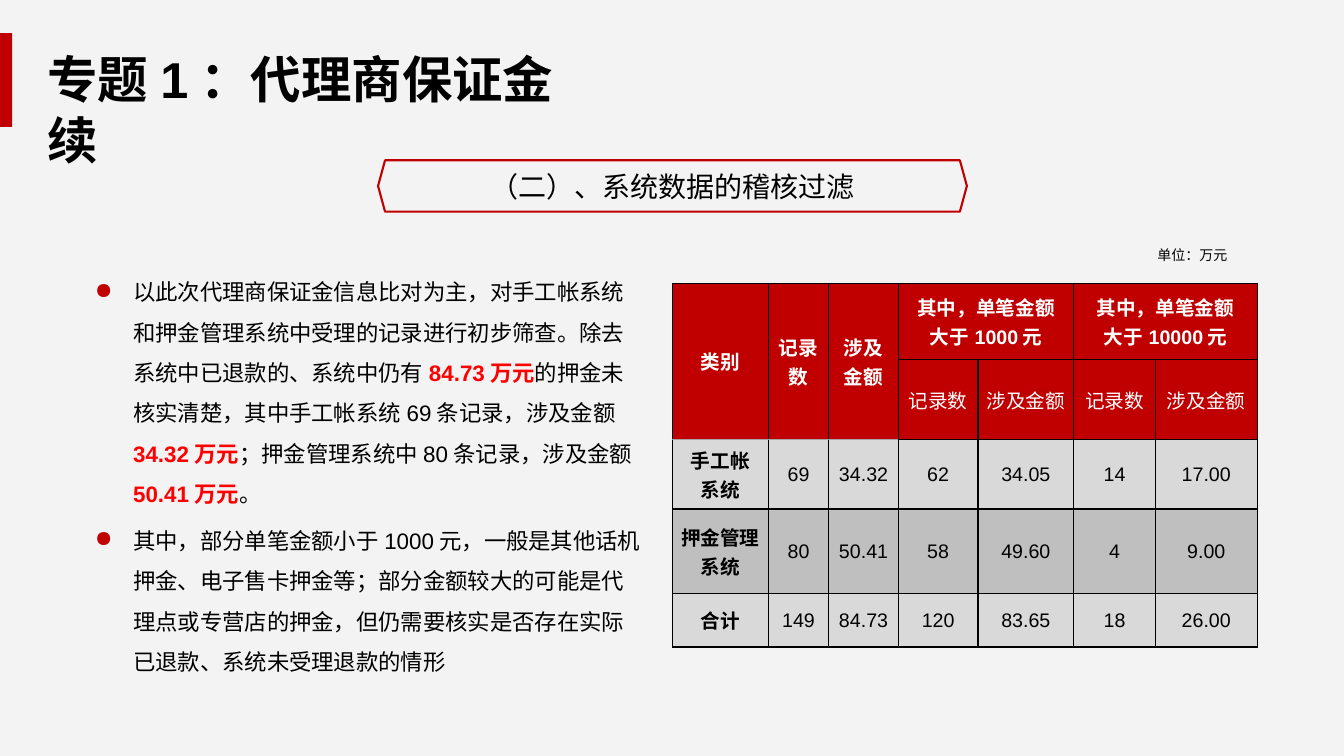
import pptx
import pptx.dml.color
import pptx.enum.shapes
import pptx.enum.text
import pptx.oxml
import pptx.oxml.ns
import pptx.util

Inches = pptx.util.Inches
ALIGN = pptx.enum.text.PP_ALIGN
ANCHOR = pptx.enum.text.MSO_ANCHOR
SHAPE = pptx.enum.shapes.MSO_SHAPE

RED, BRIGHT_RED, BLACK, WHITE = "C00000", "FF0000", "000000", "FFFFFF"
PAGE_GREY, LIGHT_GREY, MID_GREY, RULE_GREY = "F3F3F3", "D9D9D9", "BFBFBF", "A5A5A5"

BULLETS = [
    [("以此次代理商保证金信息比对为主，对手工帐系统和押金管理系统中受理的记录进行初步筛查。"
      "除去系统中已退款的、系统中仍有", False),
     ("84.73万元", True),
     ("的押金未核实清楚，其中手工帐系统69条记录，涉及金额", False),
     ("34.32万元", True),
     ("；押金管理系统中80条记录，涉及金额", False),
     ("50.41万元", True),
     ("。", False)],
    [("其中，部分单笔金额小于1000元，一般是其他话机押金、电子售卡押金等；部分金额较大的可能是"
      "代理点或专营店的押金，但仍需要核实是否存在实际已退款、系统未受理退款的情形", False)],
]

COLUMN_WIDTHS = [0.95, 0.6, 0.69, 0.79, 0.95, 0.81, 1.01]
ROW_HEIGHTS = [0.76, 0.79, 0.69, 0.84, 0.53]
ROW_FILLS = [RED, RED, LIGHT_GREY, MID_GREY, LIGHT_GREY]
TABLE_ROWS = [
    ["类别", "记录数", "涉及金额", "其中，单笔金额\n大于1000元", "", "其中，单笔金额\n大于10000元", ""],
    ["", "", "", "记录数", "涉及金额", "记录数", "涉及金额"],
    ["手工帐\n系统", "69", "34.32", "62", "34.05", "14", "17.00"],
    ["押金管理系统", "80", "50.41", "58", "49.60", "4", "9.00"],
    ["合计", "149", "84.73", "120", "83.65", "18", "26.00"],
]
HEADER_ROWS = 2
TALL_HEADERS = 3
WIDE_HEADERS = [3, 5]


def colour(value):
    return pptx.dml.color.RGBColor.from_string(value)


def fill_with(target, value):
    target.fill.solid()
    target.fill.fore_color.rgb = colour(value)


def set_values(target, values):
    for name, value in values.items():
        setattr(target, name, value)


def add_span(para, text, size, shade=BLACK, bold=False):
    span = para.add_run()
    span.text = text
    set_values(span.font, {"name": "Arial", "size": pptx.util.Pt(size), "bold": bold})
    span.font.color.rgb = colour(shade)


def add_text_box(page, box):
    frame = page.shapes.add_textbox(*map(Inches, box)).text_frame
    frame.word_wrap = True
    return frame


def add_title(page, box):
    left, top, width, height = box
    marker = page.shapes.add_shape(
        SHAPE.RECTANGLE, 0, Inches(top - 0.1), Inches(0.12), Inches(0.93))
    marker.shadow.inherit = False
    fill_with(marker, RED)
    marker.line.fill.background()

    title = page.shapes.title
    set_values(title, {"left": Inches(left), "top": Inches(top),
                       "width": Inches(width), "height": Inches(height)})
    set_values(title.text_frame, {"word_wrap": True, "vertical_anchor": ANCHOR.TOP,
                                  "auto_size": pptx.enum.text.MSO_AUTO_SIZE.NONE})
    para = title.text_frame.paragraphs[0]
    para.alignment = ALIGN.LEFT
    add_span(para, "专题1：代理商保证金续", 36, bold=True)


def add_section_label(page, box):
    label = page.shapes.add_shape(SHAPE.HEXAGON, *map(Inches, box))
    label.adjustments[0] = 0.136
    label.shadow.inherit = False
    label.fill.background()
    label.line.color.rgb = colour(RED)
    label.line.width = pptx.util.Pt(1.5)
    label.text_frame.vertical_anchor = ANCHOR.MIDDLE
    para = label.text_frame.paragraphs[0]
    para.alignment = ALIGN.CENTER
    add_span(para, "（二）、系统数据的稽核过滤", 20)


def add_bullet(para):
    properties = para._p.get_or_add_pPr()
    properties.set("marL", str(Inches(0.38)))
    properties.set("indent", str(-Inches(0.38)))
    namespace = pptx.oxml.ns.nsdecls("a")
    for xml in (f'<a:buClr {namespace}><a:srgbClr val="{RED}"/></a:buClr>',
                f'<a:buChar {namespace} char="●"/>'):
        properties.append(pptx.oxml.parse_xml(xml))


def add_findings(page, box):
    frame = add_text_box(page, box)
    set_values(frame, dict.fromkeys(
        ["margin_left", "margin_top", "margin_right", "margin_bottom"], 0))
    for index, spans in enumerate(BULLETS):
        para = frame.add_paragraph() if index else frame.paragraphs[0]
        add_bullet(para)
        set_values(para, {"line_spacing": 1.5, "space_after": pptx.util.Pt(5)})
        for text, key_figure in spans:
            add_span(para, text, 16, BRIGHT_RED if key_figure else BLACK, key_figure)


def add_borders(cell, shades):
    """Draw the left, right, top and bottom borders, in that order."""
    properties = cell._tc.get_or_add_tcPr()
    for position, (side, shade) in enumerate(zip("LRTB", shades)):
        properties.insert(position, pptx.oxml.parse_xml(
            f'<a:ln{side} {pptx.oxml.ns.nsdecls("a")} w="12700"><a:solidFill>'
            f'<a:srgbClr val="{shade}"/></a:solidFill></a:ln{side}>'))


def format_cell(cell, row, column):
    set_values(cell, {"margin_left": Inches(0.07), "margin_right": Inches(0.07),
                      "margin_top": 0, "margin_bottom": 0,
                      "vertical_anchor": ANCHOR.MIDDLE})
    fill_with(cell, ROW_FILLS[row])
    under_tall = column < TALL_HEADERS
    add_borders(cell, [BLACK, BLACK,
                       RULE_GREY if under_tall and row == HEADER_ROWS else BLACK,
                       RULE_GREY if under_tall and row < HEADER_ROWS else BLACK])


def write_cell(cell, row, column, text):
    shade = WHITE if row < HEADER_ROWS else BLACK
    bold = row == 0 or column == 0
    for index, line in enumerate(text.split("\n")):
        para = cell.text_frame.add_paragraph() if index else cell.text_frame.paragraphs[0]
        para.alignment = ALIGN.CENTER
        add_span(para, line, 14, shade, bold)


def add_audit_table(page, box):
    table = page.shapes.add_table(
        len(ROW_HEIGHTS), len(COLUMN_WIDTHS), *map(Inches, box)).table
    for column, width in zip(table.columns, COLUMN_WIDTHS):
        column.width = Inches(width)
    for row, height in zip(table.rows, ROW_HEIGHTS):
        row.height = Inches(height)
    for column in range(TALL_HEADERS):
        table.cell(0, column).merge(table.cell(1, column))
    for column in WIDE_HEADERS:
        table.cell(0, column).merge(table.cell(0, column + 1))
    for row, texts in enumerate(TABLE_ROWS):
        for column, text in enumerate(texts):
            cell = table.cell(row, column)
            format_cell(cell, row, column)
            if text:
                write_cell(cell, row, column, text)


def add_unit_note(page, box):
    para = add_text_box(page, box).paragraphs[0]
    para.alignment = ALIGN.RIGHT
    add_span(para, "单位：万元", 10)


def main():
    deck = pptx.Presentation()
    set_values(deck, {"slide_width": Inches(13.33), "slide_height": Inches(7.5)})
    page = deck.slides.add_slide(deck.slide_layouts.get_by_name("Title Only"))
    fill_with(page.background, PAGE_GREY)
    add_title(page, (0.37, 0.43, 5.56, 0.71))
    add_section_label(page, (3.75, 1.59, 5.84, 0.51))
    add_findings(page, (0.94, 2.63, 5.42, 4.11))
    add_audit_table(page, (6.67, 2.81, 5.8, 3.61))
    add_unit_note(page, (11.04, 2.4, 1.23, 0.27))
    deck.save("out.pptx")


if __name__ == "__main__":
    main()
